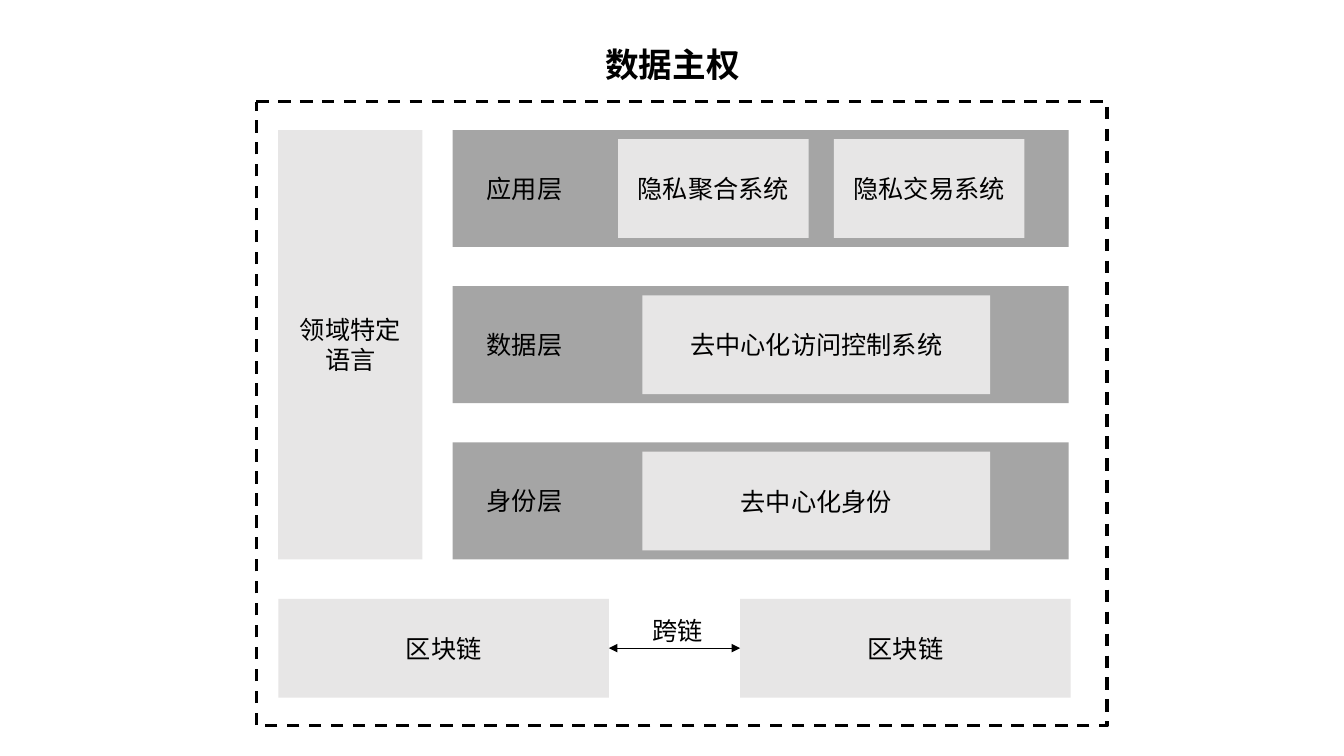
from lxml.etree import SubElement
from pptx import Presentation
from pptx.dml.color import RGBColor
from pptx.enum.dml import MSO_LINE_DASH_STYLE as Dash
from pptx.enum.shapes import MSO_CONNECTOR as Connector, MSO_SHAPE as Shape
from pptx.enum.text import MSO_ANCHOR as Anchor, MSO_AUTO_SIZE as AutoSize, PP_ALIGN as Align
from pptx.oxml.ns import qn
from pptx.util import Inches, Pt

COLORS = {"ink": "000000", "layer": "A5A5A5", "block": "E7E6E6"}
CJK_FONT = "Noto Sans CJK SC"
BLOCK_FONT = "Roboto"


def color(name):
    return RGBColor.from_string(COLORS[name])


def write(frame, text, font=CJK_FONT, size=18, bold=False, align=Align.LEFT, anchor=Anchor.TOP):
    frame.word_wrap = True
    frame.vertical_anchor = anchor
    paragraph = frame.paragraphs[0]
    paragraph.alignment = align
    run = paragraph.add_run()
    run.text = text
    run.font.name = font
    run.font.size = Pt(size)
    run.font.bold = bold
    run.font.color.rgb = color("ink")
    SubElement(run.font._element, qn("a:ea"), typeface=CJK_FONT)


class Diagram:
    """Draws the elements of a layered architecture on one slide."""

    def __init__(self, slide):
        self.shapes = slide.shapes

    def box(self, left, top, width, height, fill, text=None):
        box = self.shapes.add_shape(Shape.RECTANGLE, *map(Inches, (left, top, width, height)))
        box.shadow.inherit = False
        box.fill.solid()
        box.fill.fore_color.rgb = color(fill)
        box.line.fill.background()
        if text:
            write(box.text_frame, text, font=BLOCK_FONT, align=Align.CENTER, anchor=Anchor.MIDDLE)

    def label(self, left, top, width, height, text, **style):
        label = self.shapes.add_textbox(*map(Inches, (left, top, width, height)))
        write(label.text_frame, text, **style)
        label.text_frame.auto_size = AutoSize.SHAPE_TO_FIT_TEXT

    def frame(self, left, top, width, height):
        frame = self.shapes.add_shape(Shape.ROUNDED_RECTANGLE, *map(Inches, (left, top, width, height)))
        frame.adjustments[0] = 0
        frame.shadow.inherit = False
        frame.fill.background()
        frame.line.color.rgb = color("ink")
        frame.line.width = Pt(2.25)
        frame.line.dash_style = Dash.DASH

    def double_arrow(self, start, end, y):
        arrow = self.shapes.add_connector(Connector.STRAIGHT, *map(Inches, (start, y, end, y)))
        arrow.line.color.rgb = color("ink")
        arrow.line.width = Pt(0.5)
        outline = arrow.line._get_or_add_ln()
        for tip in ("a:headEnd", "a:tailEnd"):
            SubElement(outline, qn(tip), type="triangle")
        SubElement(outline.getparent(), qn("a:effectLst"))


def main():
    deck = Presentation()
    deck.slide_width, deck.slide_height = Inches(13.33), Inches(7.5)
    diagram = Diagram(deck.slides.add_slide(deck.slide_layouts[6]))

    top, layer_pitch, block_height = 1.29, 1.55, 0.98
    layers = [
        ("应用层", 1.89, [(6.13, "隐私聚合系统"), (8.27, "隐私交易系统")]),
        ("数据层", 3.45, [(6.37, "去中心化访问控制系统")]),
        ("身份层", 3.45, [(6.37, "去中心化身份")]),
    ]
    for index, (layer, system_width, systems) in enumerate(layers):
        layer_top = top + index * layer_pitch
        diagram.box(4.49, layer_top, 6.11, 1.16, "layer")
        diagram.label(4.73, layer_top + 0.38, 1.16, 0.4, layer)
        for left, system in systems:
            diagram.box(left, layer_top + 0.09, system_width, block_height, "block", system)

    diagram.box(2.76, top, 1.43, 4.26, "block", "领域特定语言")

    chain_left, chain_right, chain_width, chain_top = 2.76, 7.34, 3.28, 5.94
    for left in (chain_left, chain_right):
        diagram.box(left, chain_top, chain_width, block_height, "block", "区块链")
    diagram.double_arrow(chain_left + chain_width, chain_right, chain_top + block_height / 2)
    diagram.label(6.37, 6.06, 0.74, 0.4, "跨链")

    diagram.frame(2.54, 1.01, 8.44, 6.19)
    diagram.label(4.95, 0.39, 3.44, 0.5, "数据主权", size=24, bold=True, align=Align.CENTER)

    deck.save("out.pptx")


if __name__ == "__main__":
    main()
